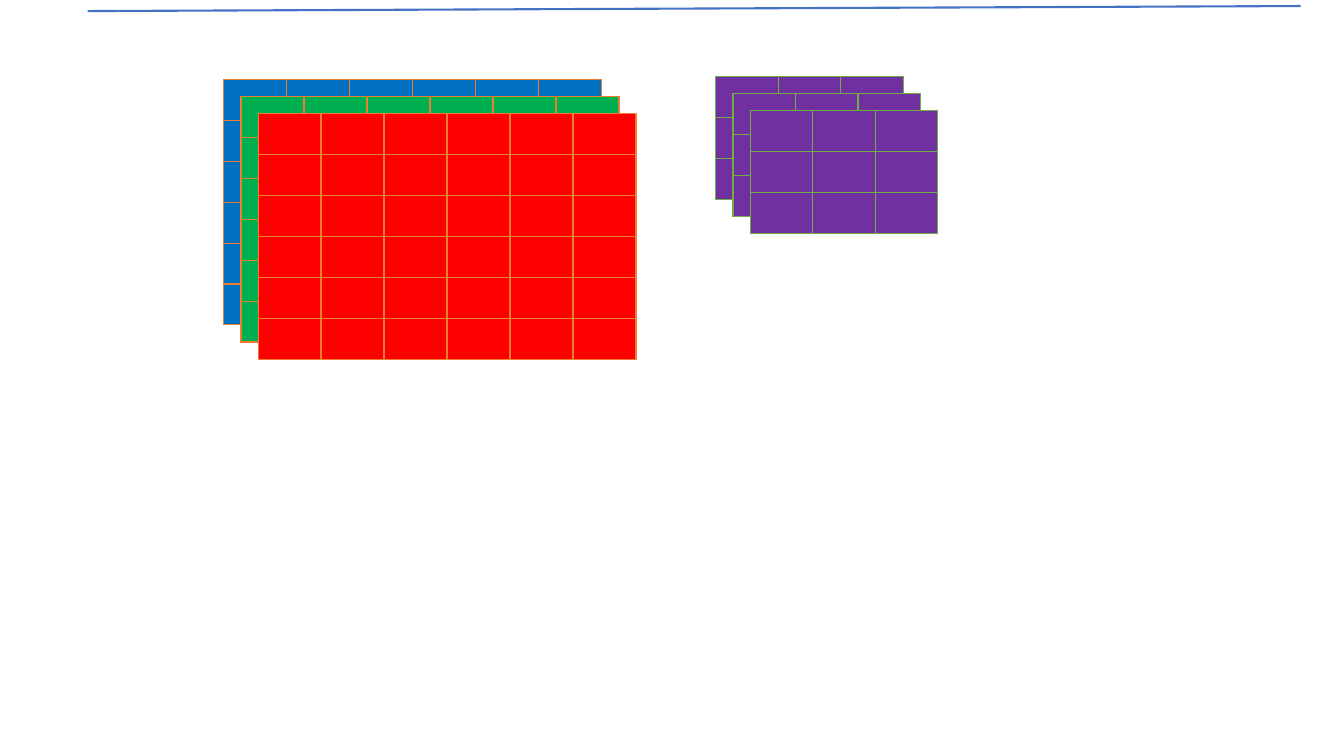
from lxml import etree
from pptx import Presentation
from pptx.dml.color import RGBColor
from pptx.enum.shapes import MSO_CONNECTOR
from pptx.oxml.ns import qn
from pptx.util import Inches, Pt

BLUE = RGBColor(0x00, 0x70, 0xC0)
GREEN = RGBColor(0x00, 0xB0, 0x50)
RED = RGBColor(0xFF, 0x00, 0x00)
PURPLE = RGBColor(0x70, 0x30, 0xA0)
ORANGE_EDGE = RGBColor(0xED, 0x7D, 0x31)
GREEN_EDGE = RGBColor(0x70, 0xAD, 0x47)
RULE_BLUE = RGBColor(0x44, 0x72, 0xC4)

LAYER_STEP = 0.17  # each layer sits this far right of and below the last


def add_top_rule(slide):
    rule = slide.shapes.add_connector(
        MSO_CONNECTOR.STRAIGHT,
        Inches(0.87), Inches(0.11), Inches(12.9), Inches(0.06))
    rule.line.color.rgb = RULE_BLUE
    rule.line.width = Pt(1.5)
    etree.SubElement(rule._element.spPr, qn("a:effectLst"))


def add_cell_borders(cell, color):
    properties = cell._tc.get_or_add_tcPr()
    for side in ("a:lnL", "a:lnR", "a:lnT", "a:lnB"):
        border = etree.SubElement(properties, qn(side), w=str(Pt(1)))
        fill = etree.SubElement(border, qn("a:solidFill"))
        etree.SubElement(fill, qn("a:srgbClr"), val=str(color))


def add_layer(slide, left, top, width, height, size, color, edge):
    """Add one square grid of size x size coloured cells."""
    layer = slide.shapes.add_table(
        size, size, Inches(left), Inches(top),
        Inches(width), Inches(height)).table
    layer.first_row = False
    layer.horz_banding = False
    for cell in layer.iter_cells():
        add_cell_borders(cell, edge)
        cell.fill.solid()
        cell.fill.fore_color.rgb = color
        cell.text_frame.paragraphs[0].font.name = "Calibri"


def add_stack(slide, left, top, width, height, size, colors, edge):
    """Add overlapping layers, back to front."""
    for depth, color in enumerate(colors):
        offset = depth * LAYER_STEP
        add_layer(slide, left + offset, top + offset, width, height,
                  size, color, edge)


def main():
    prs = Presentation()
    prs.slide_width = Inches(13.33)
    prs.slide_height = Inches(7.5)
    slide = prs.slides.add_slide(prs.slide_layouts[6])

    add_top_rule(slide)
    # Input image: one layer per colour channel
    add_stack(slide, 2.22, 0.79, 3.75, 2.43, 6, (BLUE, GREEN, RED), ORANGE_EDGE)
    # Filter: three layers of the same colour
    add_stack(slide, 7.1, 0.76, 1.86, 1.22, 3, (PURPLE,) * 3, GREEN_EDGE)

    prs.save("out.pptx")


if __name__ == "__main__":
    main()
